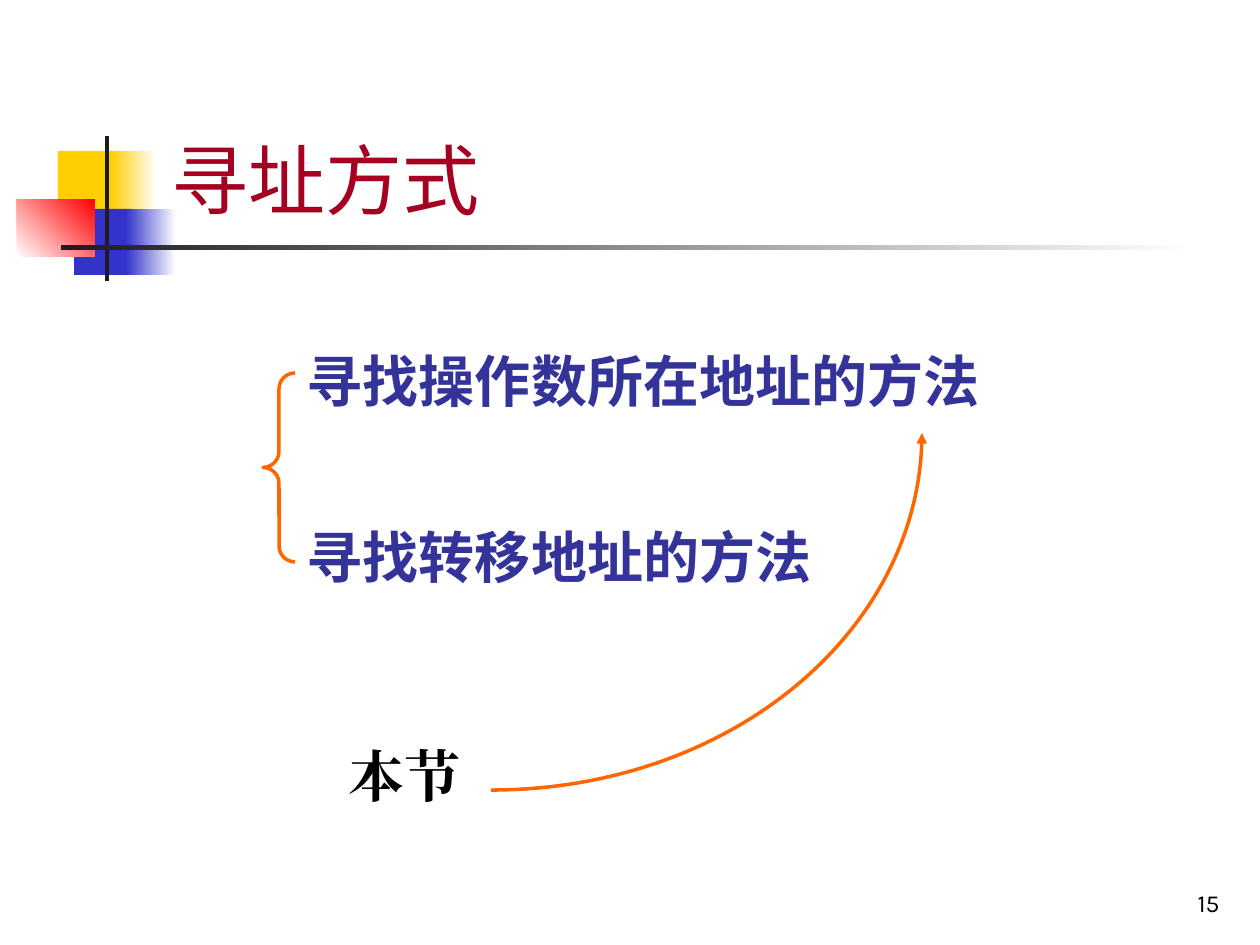
from dataclasses import dataclass

from lxml.etree import SubElement
from pptx import Presentation
from pptx.dml.color import RGBColor
from pptx.enum.shapes import MSO_SHAPE as Shape
from pptx.enum.text import MSO_ANCHOR as Anchor, PP_ALIGN as Align
from pptx.oxml.ns import qn
from pptx.util import Pt

SCALE = 914400 / 126  # EMU in one px


@dataclass(frozen=True)
class Theme:
    yellow: str = "FFCF01"
    blue: str = "3333CC"
    red: str = "FF0000"
    white: str = "FFFFFF"
    ink: str = "1C1C1C"
    black: str = "000000"
    title: str = "A50021"
    body: str = "333399"
    accent: str = "FF6600"
    title_size: int = 44
    body_size: int = 32
    number_size: int = 14
    line_width: int = 2
    title_font: str = "Noto Sans CJK SC"
    body_font: str = "Karla"
    label_font: str = "Times New Roman"


THEME = Theme()


def px(value):
    return round(value * SCALE)


def color(name):
    return RGBColor.from_string(getattr(THEME, name))


def apply(target, formats):
    for name, value in formats.items():
        setattr(target, name, value)


def add_block(page, box, start, end=None, angle=0):
    """Rectangle with a plain fill, or a gradient when end is given."""
    block = page.shapes.add_shape(Shape.RECTANGLE, *map(px, box))
    block.shadow.inherit = False
    block.line.fill.background()
    if end is None:
        block.fill.solid()
        block.fill.fore_color.rgb = color(start)
        return
    block.fill.gradient()
    block.fill.gradient_angle = angle
    for stop, name in zip(block.fill.gradient_stops, (start, end)):
        stop.color.rgb = color(name)


def add_text(page, box, lines, font, size, tint, bold=False,
             frame_format=None, para_format=None, gap=0):
    """Text box with one paragraph a line and a gap in points between them."""
    frame = page.shapes.add_textbox(*map(px, box)).text_frame
    apply(frame, {"word_wrap": True, **(frame_format or {})})
    for index, line in enumerate(lines):
        para = frame.paragraphs[0] if index == 0 else frame.add_paragraph()
        apply(para, para_format or {})
        if index:
            para.space_before = Pt(gap)
        span = para.add_run()
        span.text = line
        apply(span.font, {"name": font, "size": Pt(size), "bold": bold})
        span.font.color.rgb = color(tint)
        # East Asian characters use the same font
        SubElement(span.font._element, qn("a:ea"), typeface=font)


def style_outline(shape):
    shape.shadow.inherit = False
    shape.fill.background()
    shape.line.color.rgb = color("accent")
    shape.line.width = Pt(THEME.line_width)


def add_ornament(page, box):
    """Coloured squares with crossing bars."""
    left, top, width, height = box
    for x, y, w, h, *paint in (
        (41, 15, 60, 66, "yellow"),
        (94, 15, 45, 66, "yellow", "white"),
        (57, 73, 58, 66, "blue"),
        (109, 73, 50, 66, "blue", "white"),
        (0, 63, 78, 58, "white", "red", 45),
        (88, 0, 4, height, "ink"),
        (44, 109, width - 44, 5, "ink", "white"),
    ):
        add_block(page, (left + x, top + y, w, h), *paint)


def add_title(page, box):
    add_text(page, box, ["寻址方式"], THEME.title_font, THEME.title_size,
             "title", frame_format={"vertical_anchor": Anchor.BOTTOM})


def add_methods(page, box):
    """Two kinds of method, held together by a brace."""
    left, top, width, height = box
    add_text(page, (left + 18, top, width - 18, height),
             ["寻找操作数所在地址的方法", "寻找转移地址的方法"],
             THEME.body_font, THEME.body_size, "body", bold=True,
             frame_format={"margin_left": px(26)},
             para_format={"line_spacing": 1.1, "space_after": Pt(2)}, gap=56)
    brace = page.shapes.add_shape(
        Shape.LEFT_BRACE, px(left), px(top + 39), px(32), px(189))
    brace.adjustments[0] = 0.5
    style_outline(brace)


def add_section_label(page, box):
    add_text(page, box, ["本节"], THEME.label_font, THEME.body_size,
             "black", bold=True)


def add_arc_arrow(page, box):
    """Quarter ellipse from the lower left to the upper right corner."""
    left, top, width, height = map(px, box)
    builder = page.shapes.build_freeform(left, top + height)
    builder.add_line_segments([(left + width, top)], close=False)
    arc = builder.convert_to_shape()
    style_outline(arc)

    # Turn the straight segment into a Bézier curve
    segment = arc._element.find(".//" + qn("a:lnTo"))
    segment.tag = qn("a:cubicBezTo")
    segment.remove(segment[0])
    bend = 0.55
    for x, y in ((width * bend, height), (width, height * bend), (width, 0)):
        SubElement(segment, qn("a:pt"), x=str(round(x)), y=str(round(y)))
    SubElement(arc.line._get_or_add_ln(), qn("a:tailEnd"), type="triangle")


def add_page_number(page, box):
    add_text(page, box, ["15"], THEME.body_font, THEME.number_size, "black",
             frame_format={"vertical_anchor": Anchor.BOTTOM},
             para_format={"alignment": Align.RIGHT})


def main():
    deck = Presentation()
    apply(deck, {"slide_width": px(1260), "slide_height": px(945)})
    page = deck.slides.add_slide(deck.slide_layouts[6])
    add_ornament(page, (17, 136, 1178, 145))
    add_page_number(page, (970, 861, 262, 63))
    add_title(page, (159, 29, 1074, 202))
    add_methods(page, (263, 334, 774, 305))
    add_section_label(page, (336, 735, 199, 79))
    add_arc_arrow(page, (491, 433, 431, 357))
    deck.save("out.pptx")


if __name__ == "__main__":
    main()
